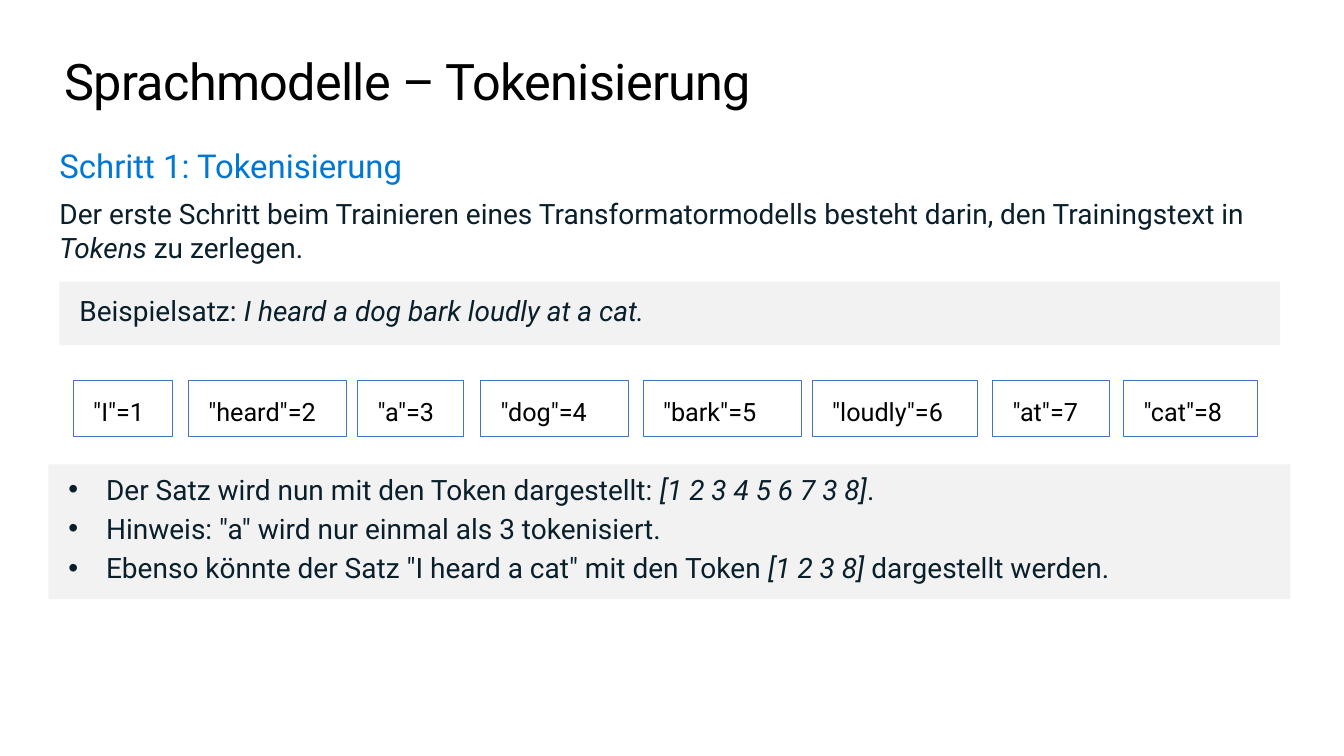
from pptx import Presentation
from pptx.dml.color import RGBColor as Rgb
from pptx.enum.shapes import MSO_SHAPE as Shape
from pptx.enum.text import MSO_ANCHOR as Anchor, MSO_AUTO_SIZE as Fit, PP_ALIGN as Align
from pptx.util import Cm, Pt

COLORS = {"black": "000000", "blue": "0078D3", "ink": "091F2C",
          "gray": "F2F2F2", "white": "FFFFFF", "edge": "4472C4"}
FONT = "Roboto"

# Left offset within the row, width and label of each token
TOKENS = [(0, 2.51, '"I"=1'), (2.9, 3.99, '"heard"=2'), (7.17, 2.67, '"a"=3'),
          (10.27, 3.73, '"dog"=4'), (14.36, 3.99, '"bark"=5'),
          (18.62, 4.17, '"loudly"=6'), (23.17, 2.95, '"at"=7'),
          (26.47, 3.38, '"cat"=8')]

# Paragraphs are lists of parts; every second part is italic
INTRO = ["Der erste Schritt beim Trainieren eines Transformatormodells besteht darin, "
         "den Trainingstext in ", "Tokens", " zu zerlegen."]
SAMPLE = ["Beispielsatz: ", "I heard a dog bark loudly at a cat."]
NOTES = [["Der Satz wird nun mit den Token dargestellt: ", "[1 2 3 4 5 6 7 3 8]", "."],
         ['Hinweis: "a" wird nur einmal als 3 tokenisiert.'],
         ['Ebenso könnte der Satz "I heard a cat" mit den Token ', "[1 2 3 8]",
          " dargestellt werden."]]


def color(name):
    return Rgb.from_string(COLORS[name])


def place(shape, box):
    shape.left, shape.top, shape.width, shape.height = map(Cm, box)


def frame(shape, pads=(0, 0, 0, 0), anchor=Anchor.TOP):
    text = shape.text_frame
    text.word_wrap = True
    text.auto_size = Fit.NONE
    text.vertical_anchor = anchor
    text.margin_left, text.margin_top, text.margin_right, text.margin_bottom = map(Cm, pads)
    return text


def write(para, parts, size=20, tone="ink", before=0):
    para.alignment = Align.LEFT
    para.space_before = Pt(before)
    para.font.name = FONT
    para.font.size = Pt(size)
    para.font.color.rgb = color(tone)
    for i, part in enumerate(parts):
        run = para.add_run()
        run.text = part
        if i % 2:
            run.font.italic = True


def fill(shape, tone):
    shape.fill.solid()
    shape.fill.fore_color.rgb = color(tone)


def add_rect(slide, box, tone, edge=None):
    rect = slide.shapes.add_shape(Shape.RECTANGLE, *map(Cm, box))
    rect.shadow.inherit = False
    fill(rect, tone)
    if edge:
        rect.line.color.rgb = color(edge)
        rect.line.width = Pt(0.75)
    else:
        rect.line.fill.background()
    return rect


def add_title(slide, box):
    title = slide.shapes.title
    place(title, box)
    para = frame(title, anchor=Anchor.MIDDLE).paragraphs[0]
    write(para, ["Sprachmodelle – Tokenisierung"], 36, "black")
    para.runs[0]._r.get_or_add_rPr().set("spc", "-50")


def add_intro(slide, box):
    text = frame(slide.shapes.add_textbox(*map(Cm, box)))
    write(text.paragraphs[0], ["Schritt 1: Tokenisierung"], 23.5, "blue")
    write(text.add_paragraph(), INTRO, before=8)


def add_sample(slide, box):
    rect = add_rect(slide, box, "gray")
    write(frame(rect, (0.5, 0.3, 0.5, 0.3)).paragraphs[0], SAMPLE)


def add_tokens(slide, box):
    left, top, _, height = box
    for shift, width, label in TOKENS:
        rect = add_rect(slide, (left + shift, top, width, height), "white", "edge")
        write(frame(rect, (0.5, 0.4, 0.5, 0.4)).paragraphs[0], [label], 18, "black")


def add_notes(slide, box):
    body = slide.placeholders[1]
    place(body, box)
    fill(body, "gray")
    text = frame(body, (0.5, 0.2, 0.4, 0.2))
    for i, parts in enumerate(NOTES):
        para = text.add_paragraph() if i else text.paragraphs[0]
        write(para, parts, before=4 if i else 0)


def main():
    deck = Presentation()
    deck.slide_width, deck.slide_height = Cm(33.87), Cm(19.05)
    slide = deck.slides.add_slide(deck.slide_layouts[1])
    # Boxes are left, top, width, height in centimetres
    add_title(slide, (1.63, 1.27, 30.6, 1.52))
    add_intro(slide, (1.5, 3.68, 30.4, 2.97))
    add_sample(slide, (1.5, 7.1, 30.76, 1.6))
    add_tokens(slide, (1.85, 9.58, 29.85, 1.42))
    add_notes(slide, (1.22, 11.7, 31.3, 3.4))
    deck.save("out.pptx")


if __name__ == "__main__":
    main()
